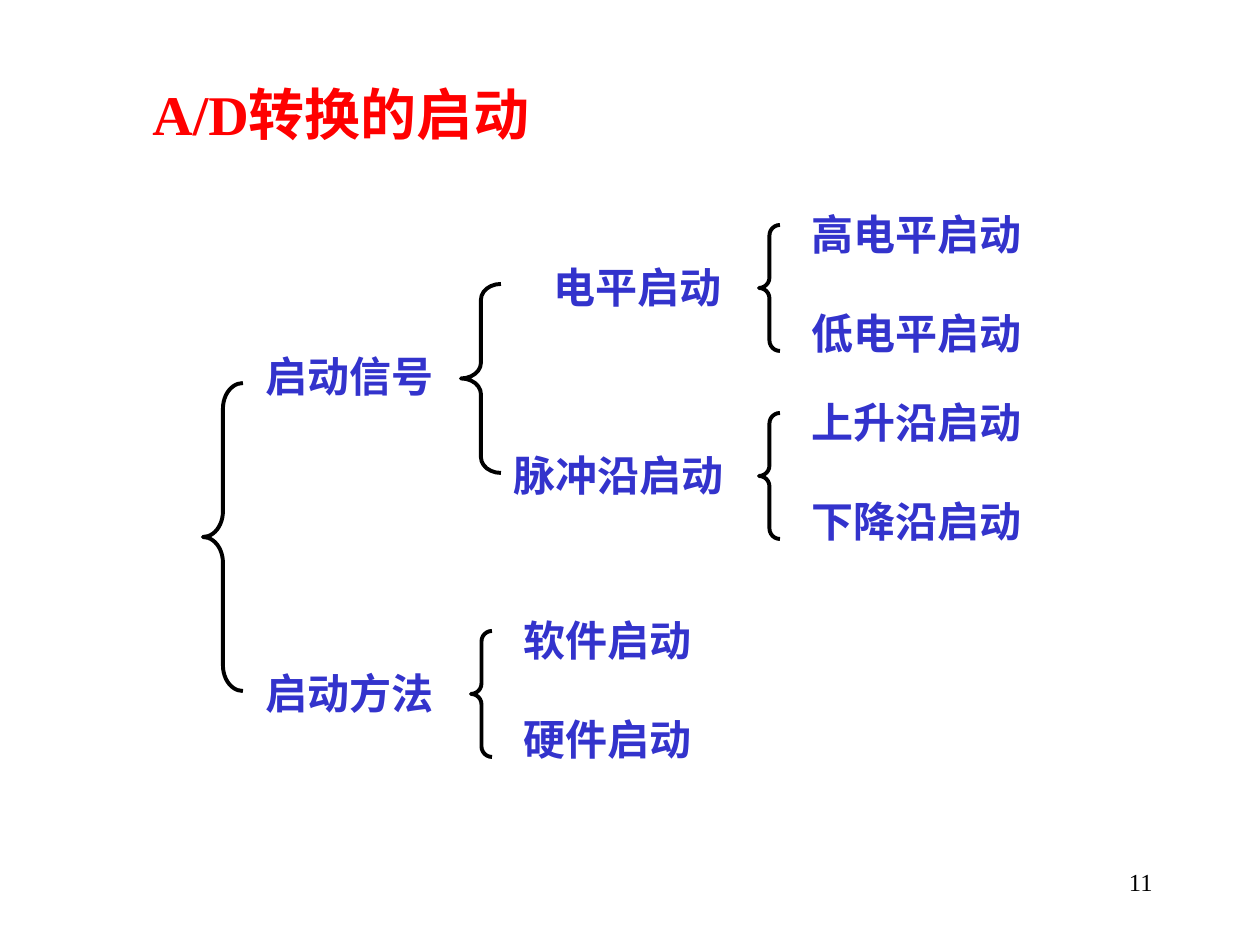
from lxml import etree
from pptx import Presentation
from pptx.dml.color import RGBColor
from pptx.enum.shapes import MSO_SHAPE
from pptx.enum.text import PP_ALIGN
from pptx.oxml.ns import qn
from pptx.util import Emu, Pt

LEFT, RIGHT = PP_ALIGN.LEFT, PP_ALIGN.RIGHT
LEFT_BRACE = MSO_SHAPE.LEFT_BRACE
SCALE = 914400 / 126
COLORS = {"title": "FF0000", "label": "3333CC", "ink": "000000"}
LATIN, CJK = "Times New Roman", "Noto Sans CJK SC"


def px(n):
    return Emu(round(n * SCALE))


def add_run(p, text, size=24, color="label", bold=True):
    r = p.add_run()
    r.text = text
    r.font.size = Pt(size)
    r.font.bold = bold
    r.font.name = LATIN
    r.font.color.rgb = RGBColor.from_string(COLORS[color])
    ea = etree.SubElement(r._r.get_or_add_rPr(), qn("a:ea"))
    ea.set("typeface", CJK)


class Deck:
    """Holds the style and the current slide."""

    def __init__(self, width, height):
        self.prs = Presentation()
        self.prs.slide_width, self.prs.slide_height = px(width), px(height)
        self.s = self.prs.slides.add_slide(self.prs.slide_layouts[6])

    def text(self, text, x, y, w=258, h=63, align=LEFT, **fmt):
        tf = self.s.shapes.add_textbox(px(x), px(y), px(w), px(h)).text_frame
        tf.word_wrap = True
        p = tf.paragraphs[0]
        p.alignment = align
        add_run(p, text, **fmt)

    def brace(self, x, y, w, h):
        sp = self.s.shapes.add_shape(LEFT_BRACE, px(x), px(y), px(w), px(h))
        sp.shadow.inherit = False
        sp.adjustments[0] = h / 12 / w  # curl height is a twelfth of the brace
        sp.fill.background()
        sp.line.color.rgb = RGBColor.from_string(COLORS["ink"])
        sp.line.width = Pt(2.25)

    def branch(self, parent, parent_x, x, y, options):
        """A parent label, a small brace and two options beside it."""
        self.text(parent, parent_x, y + 53)
        self.brace(x - 40, y + 23, 21, 126)
        for i, option in enumerate(options):
            self.text(option, x, y + 99 * i)


def main():
    deck = Deck(1260, 945)

    # Title
    deck.text("A/D转换的启动", 140, 73, 669, 81, size=32, color="title")

    # Root brace and start signal
    deck.brace(203, 383, 40, 308)
    deck.text("启动信号", 253, 344)
    deck.brace(461, 284, 40, 189)

    # Branches with two options each
    deck.branch("电平启动", 541, 799, 202, ["高电平启动", "低电平启动"])
    deck.branch("脉冲沿启动", 501, 799, 390, ["上升沿启动", "下降沿启动"])
    deck.branch("启动方法", 253, 511, 608, ["软件启动", "硬件启动"])

    # Slide number
    deck.text("11", 903, 861, 262, align=RIGHT, size=14, color="ink", bold=False)

    deck.prs.save("out.pptx")


if __name__ == "__main__":
    main()
